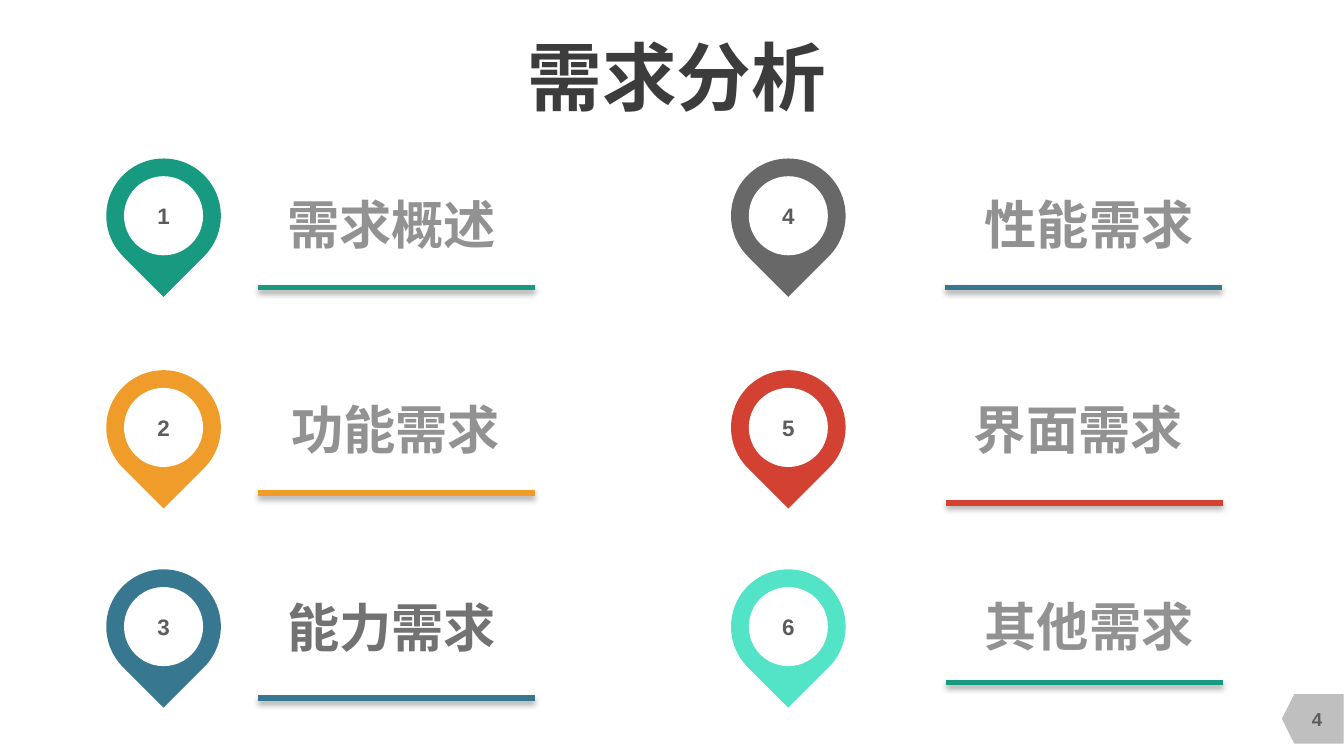
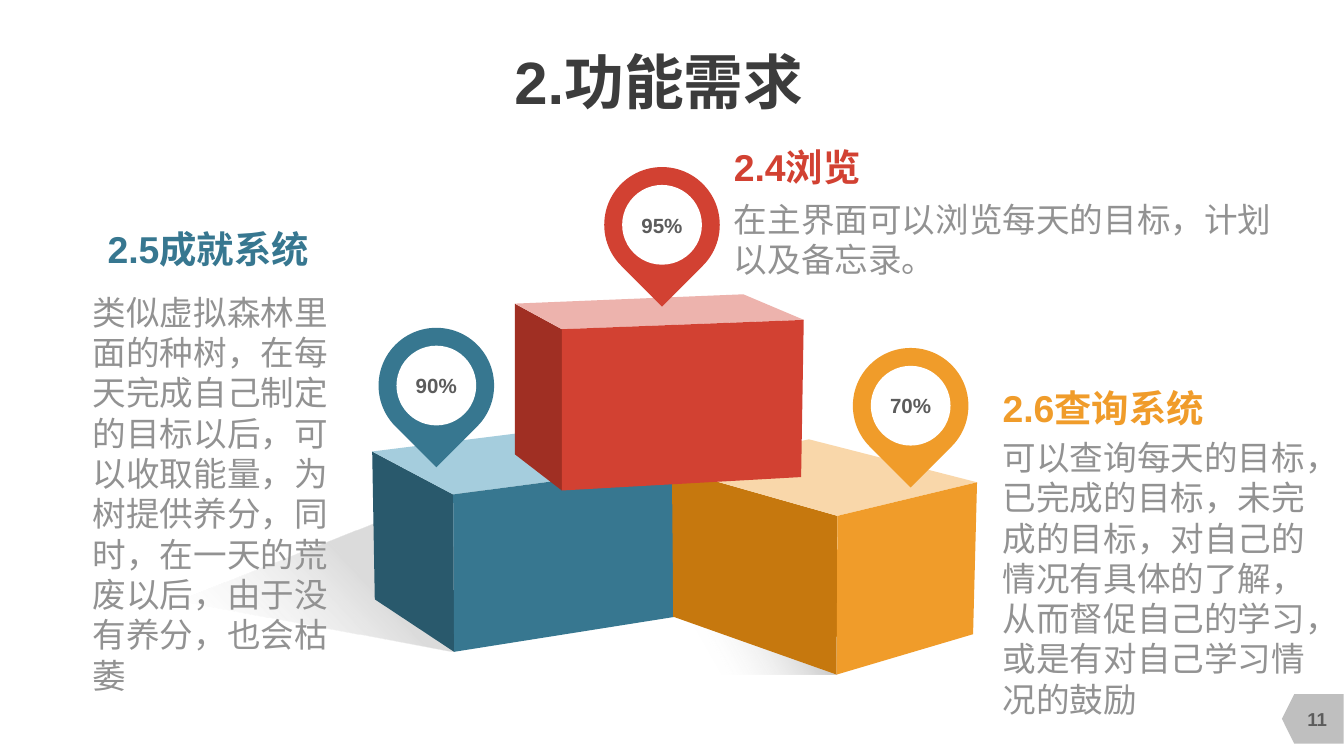
from dataclasses import dataclass

import pptx
import pptx.dml.color
import pptx.enum.shapes
import pptx.enum.text
import pptx.oxml
import pptx.oxml.ns
import pptx.util

Pt = pptx.util.Pt
SHAPE = pptx.enum.shapes.MSO_SHAPE
ALIGN = pptx.enum.text.PP_ALIGN
ANCHOR = pptx.enum.text.MSO_ANCHOR
NAMESPACE = pptx.oxml.ns.nsdecls("a")


@dataclass(frozen=True)
class Theme:
    font: str = "Arial"
    title: str = "3C3C3C"
    number: str = "5C5C5C"
    text: str = "929292"
    strong: str = "727272"
    white: str = "FFFFFF"
    tag: str = "BFBFBF"
    pale: str = "F2F2F2"
    green: str = "189A80"
    orange: str = "F09C2A"
    orange_light: str = "F9D7AA"
    orange_dark: str = "C6780E"
    blue: str = "377790"
    blue_light: str = "A5CDDD"
    blue_dark: str = "29596C"
    red: str = "D24132"
    red_light: str = "EDB3AD"
    red_dark: str = "A02F23"
    gray: str = "686868"
    mint: str = "53E4C7"
    agenda_title_size: int = 40
    title_size: int = 32
    label_size: int = 28
    heading_size: int = 20
    body_size: int = 18
    pin_number_size: int = 12
    pin_share_size: int = 11
    page_number_size: int = 10


THEME = Theme()


@dataclass(frozen=True)
class Box:
    """A region of the page, in points."""
    left: float
    top: float
    width: float
    height: float

    def inner(self, left, top, width, height):
        return Box(self.left + left, self.top + top, width, height)

    def lengths(self):
        return [Pt(value) for value in (self.left, self.top, self.width, self.height)]


def rgb(color):
    return pptx.dml.color.RGBColor.from_string(color)


def paint(shape, color):
    shape.shadow.inherit = False
    shape.line.fill.background()
    shape.fill.solid()
    shape.fill.fore_color.rgb = rgb(color)


def add_plain_shape(page, kind, box, color, rotation=0):
    shape = page.shapes.add_shape(kind, *box.lengths())
    paint(shape, color)
    shape.rotation = rotation
    return shape


def write(shape, text, size, color, bold=True, align=ALIGN.CENTER,
          anchor=ANCHOR.MIDDLE, wrap=True):
    frame = shape.text_frame
    frame.margin_left = frame.margin_right = frame.margin_top = frame.margin_bottom = 0
    frame.word_wrap = wrap
    frame.vertical_anchor = anchor
    para = frame.paragraphs[0]
    para.text = text
    para.alignment = align
    para.font.name = THEME.font
    para.font.size = Pt(size)
    para.font.bold = bold
    para.font.color.rgb = rgb(color)


def add_text(page, box, text, size, color, **options):
    write(page.shapes.add_textbox(*box.lengths()), text, size, color, **options)


def add_page(deck, title, title_box, title_size, number):
    """Add a blank page with its title and the page number tag."""
    page = deck.slides.add_slide(deck.slide_layouts[6])
    add_plain_shape(page, SHAPE.FLOWCHART_OFFPAGE_CONNECTOR,
                    Box(690, 368.6, 26.6, 33.1), THEME.tag, 90)
    add_text(page, Box(687.6, 374.4, 36, 21.6), number,
             THEME.page_number_size, THEME.number)
    add_text(page, title_box, title, title_size, THEME.title, wrap=False)
    return page


def add_pin(page, box, text, size, color):
    """Draw a map pin whose round head fills the square box."""
    add_plain_shape(page, SHAPE.TEAR, box, color, 135)
    inset = box.width * 0.155
    diameter = box.width - 2 * inset
    disc = add_plain_shape(page, SHAPE.OVAL, box.inner(inset, inset, diameter, diameter),
                           THEME.white)
    write(disc, text, size, THEME.number)


def add_rule(page, left, top, width, color):
    rule = page.shapes.add_connector(pptx.enum.shapes.MSO_CONNECTOR.STRAIGHT,
                                     Pt(left), Pt(top), Pt(left + width), Pt(top))
    rule.line.width = Pt(3)
    rule.line.color.rgb = rgb(color)
    rule._element.spPr.append(pptx.oxml.parse_xml(
        f'<a:effectLst {NAMESPACE}><a:outerShdw blurRad="40000" dist="23000" dir="5400000" '
        'rotWithShape="0"><a:srgbClr val="000000"><a:alpha val="35000"/></a:srgbClr>'
        '</a:outerShdw></a:effectLst>'))


@dataclass(frozen=True)
class Topic:
    """An agenda entry; its offsets count from the corner of its pin."""
    name: str
    pin_color: str
    rule_color: str
    label_center: float
    label_top: float
    rule_left: float
    rule_top: float
    label_color: str = THEME.text


TOPICS = [
    Topic("需求概述", THEME.green, THEME.green, 153, 18, 81.3, 69.1),
    Topic("功能需求", THEME.orange, THEME.orange, 155.1, 14.4, 81.3, 66),
    Topic("能力需求", THEME.blue, THEME.blue, 153, 13.7, 81.3, 69.1, THEME.strong),
    Topic("性能需求", THEME.gray, THEME.blue, 191.9, 18, 114.5, 69.1),
    Topic("界面需求", THEME.red, THEME.red, 186.1, 14.4, 115.2, 71.1),
    Topic("其他需求", THEME.mint, THEME.green, 191.9, 13.2, 115.2, 60.6),
]


def add_topic(page, box, number, topic):
    add_pin(page, box.inner(0, 0, 61.4, 61.4), str(number), THEME.pin_number_size,
            topic.pin_color)
    label_width = 144
    add_text(page, box.inner(topic.label_center - label_width / 2, topic.label_top,
                             label_width, 33.8),
             topic.name, THEME.label_size, topic.label_color, anchor=ANCHOR.TOP)
    add_rule(page, box.left + topic.rule_left, box.top + topic.rule_top, 148.4,
             topic.rule_color)


def build_agenda(deck):
    page = add_page(deck, "需求分析", Box(131, 15.1, 463, 51.1),
                    THEME.agenda_title_size, "4")
    row_tops = (84.9, 198.3, 305)
    for index, topic in enumerate(TOPICS):
        column, row = divmod(index, len(row_tops))
        box = Box(56.9 + 334.7 * column, row_tops[row], 270, 75)
        add_topic(page, box, index + 1, topic)


@dataclass(frozen=True)
class Cube:
    """The seven visible corners of a block, from its box, and its colours."""
    left_top: tuple
    left_bottom: tuple
    edge_top: tuple
    edge_bottom: tuple
    back: tuple
    right_top: tuple
    right_bottom: tuple
    left_color: str
    top_color: str
    right_color: str


BLUE_CUBE = Cube((0, 14.4), (1.4, 93.6), (43.4, 37.4), (43.9, 121.7), (115.2, 0),
                 (163.4, 21.6), (162, 103), THEME.blue_dark, THEME.blue_light, THEME.blue)
ORANGE_CUBE = Cube((0, 15.8), (0.7, 95), (88.6, 41), (88.2, 126), (73.4, 0),
                   (163.4, 23), (161.3, 104.4),
                   THEME.orange_dark, THEME.orange_light, THEME.orange)
RED_CUBE = Cube((0, 5), (0, 85.7), (25.2, 18.7), (25.2, 105.1), (122.4, 0),
                (154.8, 13.7), (153.4, 97.9), THEME.red_dark, THEME.red_light, THEME.red)


def add_face(page, box, corners, color):
    points = [(Pt(box.left + x), Pt(box.top + y)) for x, y in corners]
    builder = page.shapes.build_freeform(*points[0])
    builder.add_line_segments(points[1:], close=True)
    paint(builder.convert_to_shape(), color)


def add_cube(page, box, cube):
    add_face(page, box, (cube.edge_bottom, cube.left_bottom, cube.left_top, cube.edge_top),
             cube.left_color)
    add_face(page, box, (cube.edge_top, cube.left_top, cube.back, cube.right_top),
             cube.top_color)
    add_face(page, box, (cube.right_top, cube.right_bottom, cube.edge_bottom, cube.edge_top),
             cube.right_color)


def add_cast_shadow(page, kind, box, stops, angle, rotation=0):
    """Draw a shape faded by stops of (position %, colour, opacity %)."""
    shape = add_plain_shape(page, kind, box, THEME.text, rotation)
    stop_xml = "".join(
        f'<a:gs pos="{position * 1000}"><a:srgbClr val="{color}">'
        f'<a:alpha val="{opacity * 1000}"/></a:srgbClr></a:gs>'
        for position, color, opacity in stops)
    gradient = pptx.oxml.parse_xml(
        f'<a:gradFill {NAMESPACE} rotWithShape="1"><a:gsLst>{stop_xml}</a:gsLst>'
        f'<a:lin ang="{angle * 60000}" scaled="0"/></a:gradFill>')
    properties = shape._element.spPr
    properties.replace(properties.find(pptx.oxml.ns.qn("a:solidFill")), gradient)
    return shape


def add_note(page, box, heading, body, color, body_top, heading_indent=0):
    add_text(page, box.inner(heading_indent, 0, box.width - heading_indent, 24.5), heading,
             THEME.heading_size, color, align=ALIGN.LEFT, anchor=ANCHOR.TOP)
    add_text(page, box.inner(0, body_top, box.width, box.height - body_top), body,
             THEME.body_size, THEME.text, bold=False, align=ALIGN.LEFT, anchor=ANCHOR.TOP)


def build_functions(deck):
    page = add_page(deck, "2.功能需求", Box(131, 20.2, 444.2, 46.1), THEME.title_size, "11")

    add_cast_shadow(page, SHAPE.RIGHT_TRIANGLE, Box(131, 214.6, 93.6, 149.8),
                    ((0, THEME.white, 0), (50, THEME.text, 33)), 36, 280.5)
    floor = add_cast_shadow(page, SHAPE.ISOSCELES_TRIANGLE, Box(306, 330.5, 142.6, 31),
                            ((0, THEME.text, 79), (50, THEME.pale, 0)), 150)
    floor.adjustments[0] = 0.39

    add_cube(page, Box(199.4, 227.5, 163.4, 121.7), BLUE_CUBE)
    add_cube(page, Box(360, 235.4, 163.4, 126), ORANGE_CUBE)
    add_cube(page, Box(275.8, 157.7, 154.8, 105.1), RED_CUBE)

    for left, top, share, color in ((202.8, 175.6, "90%", THEME.blue),
                                    (456.9, 186.4, "70%", THEME.orange),
                                    (323.7, 89.5, "95%", THEME.red)):
        add_pin(page, Box(left, top, 61.9, 61.9), share, THEME.pin_share_size, color)

    add_note(page, Box(49.7, 121, 131, 253.4), "2.5成就系统",
             "类似虚拟森林里面的种树，在每天完成自己制定的目标以后，可以收取能量，"
             "为树提供养分，同时，在一天的荒废以后，由于没有养分，也会枯萎",
             THEME.blue, 35.3, heading_indent=7.9)
    add_note(page, Box(537.1, 206.6, 178.6, 180), "2.6查询系统",
             "可以查询每天的目标，已完成的目标，未完成的目标，对自己的情况有具体的了解，"
             "从而督促自己的学习，或是有对自己学习情况的鼓励",
             THEME.orange, 27.4)
    add_note(page, Box(393.1, 77, 294.5, 73.5), "2.4浏览",
             "在主界面可以浏览每天的目标，计划以及备忘录。", THEME.red, 29.5)


def main():
    deck = pptx.Presentation()
    deck.slide_width, deck.slide_height = Pt(720), Pt(405)
    build_agenda(deck)
    build_functions(deck)
    deck.save("out.pptx")


if __name__ == "__main__":
    main()
